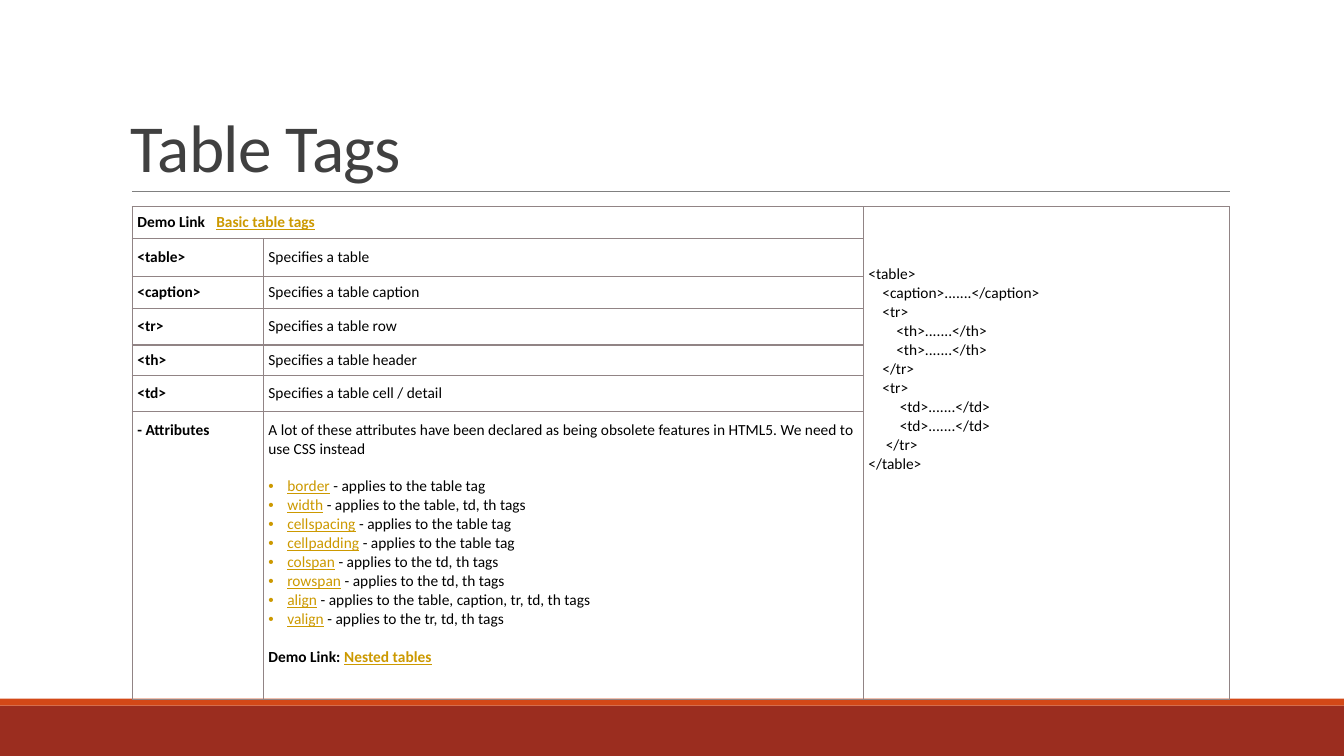
import pptx
import pptx.util
import pptx.dml.color
import pptx.enum.shapes
import pptx.enum.text
import pptx.oxml
import pptx.oxml.ns
import lxml.etree

Pt = pptx.util.Pt
RGBColor = pptx.dml.color.RGBColor
ANCHOR = pptx.enum.text.MSO_ANCHOR
BLACK = RGBColor(0, 0, 0)
TITLE_GREY = RGBColor(0x40, 0x40, 0x40)
RULE_GREY = RGBColor(0x80, 0x80, 0x80)
BORDER = RGBColor(0x91, 0x84, 0x85)
LINK_GOLD = RGBColor(0xCC, 0x99, 0x00)
ORANGE = RGBColor(0xD3, 0x48, 0x17)
BRICK = RGBColor(0x9B, 0x2D, 0x1F)

FONT = "Calibri"
PLAIN = {"name": FONT, "size": Pt(11), "bold": False, "underline": False}
BOLD = {**PLAIN, "bold": True}
LINK = {**PLAIN, "underline": True}
BOLD_LINK = {**LINK, "bold": True}
TITLE = {"name": FONT, "size": Pt(48)}
BLANK_LINE = 13.4
SPACE_WIDTH = 2.49

COLUMN_WIDTHS = [93.6, 428.6, 261.4]
ROW_HEIGHTS = [22.6, 27.4, 22.5, 26.3, 21.5, 25.9, 206]
TAGS = [
    ("<table>", "Specifies a table"),
    ("<caption>", "Specifies a table caption"),
    ("<tr>", "Specifies a table row"),
    ("<th>", "Specifies a table header"),
    ("<td>", "Specifies a table cell / detail"),
]
ATTRIBUTES = [
    ("border", "table tag"),
    ("width", "table, td, th tags"),
    ("cellspacing", "table tag"),
    ("cellpadding", "table tag"),
    ("colspan", "td, th tags"),
    ("rowspan", "td, th tags"),
    ("align", "table, caption, tr, td, th tags"),
    ("valign", "tr, td, th tags"),
]
OBSOLETE_NOTE = ("A lot of these attributes have been declared as being obsolete "
                 "features in HTML5. We need to use CSS instead")
SAMPLE_CODE = [
    (0, "<table>"),
    (4, "<caption>.......</caption>"),
    (4, "<tr>"),
    (8, "<th>.......</th>"),
    (8, "<th>.......</th>"),
    (4, "</tr>"),
    (4, "<tr>"),
    (9, "<td>.......</td>"),
    (9, "<td>.......</td>"),
    (5, "</tr>"),
    (0, "</table>"),
]


def set_all(target, values):
    """Set each attribute of the target from a dict."""
    for key, value in values.items():
        setattr(target, key, value)


def add_xml(parent, xml):
    """Append a drawing element written as XML and return it."""
    element = pptx.oxml.parse_xml(xml.replace(">", " " + pptx.oxml.ns.nsdecls("a") + ">", 1)
                                  if not xml.endswith("/>") or xml.count("<") > 1
                                  else xml.replace("/>", " " + pptx.oxml.ns.nsdecls("a") + "/>"))
    parent.append(element)
    return element


def write(paragraph, text, style, color=BLACK):
    """Add a run of text in the given style and colour."""
    run = paragraph.add_run()
    run.text = text
    set_all(run.font, style)
    run.font.color.rgb = color
    return run


def paragraph_at(frame, index):
    """Return the first paragraph for index zero, otherwise a new one."""
    return frame.add_paragraph() if index else frame.paragraphs[0]


def draw_footer(slide, box):
    """Draw the thin orange band above the brick band."""
    left, top, width, height = box
    band = 5
    for color, y, tall in [(BRICK, top + band, height - band), (ORANGE, top, band)]:
        bar = slide.shapes.add_shape(pptx.enum.shapes.MSO_SHAPE.RECTANGLE,
                                     Pt(left), Pt(y), Pt(width), Pt(tall))
        bar.shadow.inherit = False
        bar.fill.solid()
        bar.fill.fore_color.rgb = color
        bar.line.fill.background()


def draw_heading(slide, box):
    """Draw the title with the rule along the bottom of the box."""
    left, top, width, height = box
    rule = slide.shapes.add_connector(pptx.enum.shapes.MSO_CONNECTOR.STRAIGHT, Pt(left),
                                      Pt(top + height), Pt(left + width), Pt(top + height))
    rule.line.color.rgb = RULE_GREY
    rule.line.width = Pt(0.5)
    add_xml(rule._element.spPr, "<a:effectLst/>")
    frame = slide.shapes.add_textbox(Pt(left - 7.9), Pt(top), Pt(width), Pt(height)).text_frame
    set_all(frame, {"word_wrap": True, "vertical_anchor": ANCHOR.BOTTOM})
    heading = frame.paragraphs[0]
    heading.line_spacing = 0.85
    title = write(heading, "Table Tags", TITLE, TITLE_GREY)
    title.font._element.set("spc", "-50")


def format_cell(cell):
    """Give a cell its margins, borders and empty fill."""
    set_all(cell, {"margin_left": Pt(3.6), "margin_right": Pt(3.6), "margin_top": Pt(1.4),
                   "margin_bottom": Pt(1.4), "vertical_anchor": ANCHOR.MIDDLE})
    for side in "LRTB":
        add_xml(cell._tc.get_or_add_tcPr(),
                f'<a:ln{side} w="{Pt(1)}"><a:solidFill><a:srgbClr val="{BORDER}"/>'
                f'</a:solidFill></a:ln{side}>')
    cell.fill.background()


def fill_attributes(cell):
    """Write the note, the attribute list and the nested tables link."""
    set_all(cell, {"vertical_anchor": ANCHOR.TOP, "margin_top": Pt(6.4)})
    frame = cell.text_frame
    write(frame.paragraphs[0], OBSOLETE_NOTE, PLAIN)
    for index, (attribute, targets) in enumerate(ATTRIBUTES):
        item = frame.add_paragraph()
        if index == 0:
            item.space_before = Pt(BLANK_LINE)
        properties = item._p.get_or_add_pPr()
        set_all_xml = {"marL": Pt(13.5), "indent": -Pt(13.5)}
        for key, value in set_all_xml.items():
            properties.set(key, str(value))
        add_xml(properties, f'<a:buClr><a:srgbClr val="{LINK_GOLD}"/></a:buClr>')
        add_xml(properties, '<a:buFont typeface="Arial"/>')
        add_xml(properties, '<a:buChar char="•"/>')
        write(item, attribute, LINK, LINK_GOLD)
        write(item, f"\u00a0- applies to the {targets}", PLAIN)
    demo = frame.add_paragraph()
    demo.space_before = Pt(BLANK_LINE)
    write(demo, "Demo Link: ", BOLD)
    write(demo, "Nested tables", BOLD_LINK, LINK_GOLD)


def fill_sample(cell):
    """Write the sample markup with its indents."""
    set_all(cell, {"vertical_anchor": ANCHOR.TOP, "margin_top": Pt(1.4 + 3 * BLANK_LINE)})
    for index, (spaces, code) in enumerate(SAMPLE_CODE):
        line = paragraph_at(cell.text_frame, index)
        line._p.get_or_add_pPr().set("marL", str(Pt(spaces * SPACE_WIDTH)))
        write(line, code, PLAIN)


def draw_tag_table(slide, box):
    """Draw the table of tags, attributes and sample markup."""
    table = slide.shapes.add_table(len(ROW_HEIGHTS), len(COLUMN_WIDTHS), *map(Pt, box)).table
    set_all(table, {"first_row": False, "horz_banding": False})
    for column, width in zip(table.columns, COLUMN_WIDTHS):
        column.width = Pt(width)
    for row, height in zip(table.rows, ROW_HEIGHTS):
        row.height = Pt(height)
    for cell in table.iter_cells():
        format_cell(cell)
    last = len(ROW_HEIGHTS) - 1
    table.cell(0, 0).merge(table.cell(0, 1))
    table.cell(0, 2).merge(table.cell(last, 2))

    demo = table.cell(0, 0).text_frame.paragraphs[0]
    add_xml(demo._p.get_or_add_pPr(),
            f'<a:tabLst><a:tab pos="{Pt(56.4)}" algn="l"/></a:tabLst>')
    write(demo, "Demo Link\t", BOLD)
    write(demo, "Basic table tags", BOLD_LINK, LINK_GOLD)
    for row, (tag, meaning) in enumerate(TAGS, 1):
        write(table.cell(row, 0).text_frame.paragraphs[0], tag, BOLD)
        write(table.cell(row, 1).text_frame.paragraphs[0], meaning, PLAIN)
    label = table.cell(last, 0)
    set_all(label, {"vertical_anchor": ANCHOR.TOP, "margin_top": Pt(6.4)})
    write(label.text_frame.paragraphs[0], "- Attributes", BOLD)
    fill_attributes(table.cell(last, 1))
    fill_sample(table.cell(0, 2))


deck = pptx.Presentation()
set_all(deck, {"slide_width": Pt(960), "slide_height": Pt(540)})
tags_slide = deck.slides.add_slide(deck.slide_layouts[6])
draw_footer(tags_slide, (0, 499, 960, 41))
draw_heading(tags_slide, (94.3, 22.3, 784.5, 114.5))
draw_tag_table(tags_slide, (94.5, 147.75, sum(COLUMN_WIDTHS), sum(ROW_HEIGHTS)))
deck.save("out.pptx")
